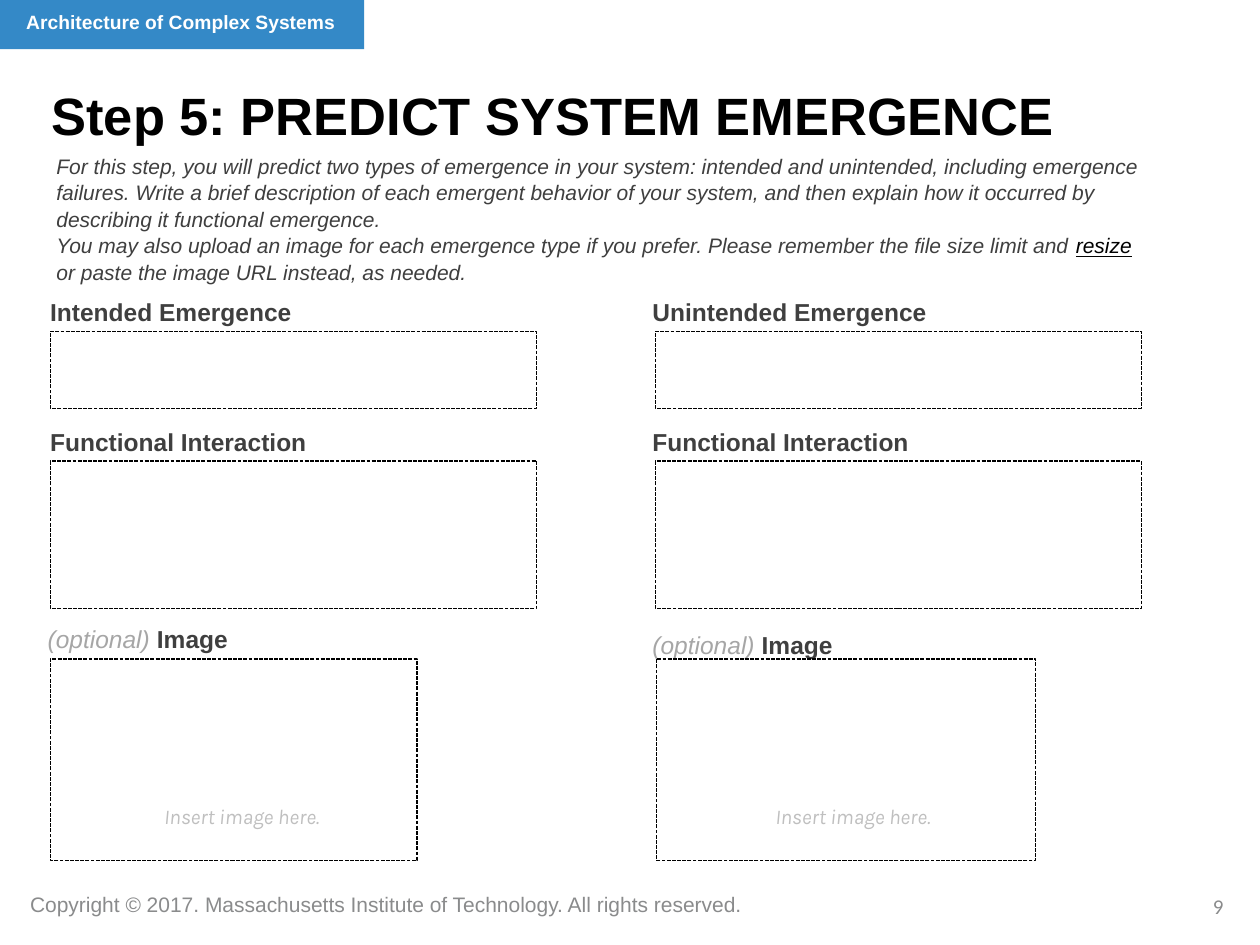
import dataclasses

import pptx
import pptx.dml.color
import pptx.enum.dml
import pptx.enum.shapes
import pptx.enum.text
import pptx.util
from pptx.util import Inches

ALIGN = pptx.enum.text.PP_ALIGN


@dataclasses.dataclass(frozen=True)
class Theme:
    """Colours, fonts and type sizes of the slide."""
    banner: str = "3489C7"
    white: str = "FFFFFF"
    black: str = "000000"
    body: str = "3F3F3F"
    optional: str = "A6A6A6"
    hint: str = "BFBFBF"
    footer: str = "8A8B8C"
    font: str = "Arial"
    hint_font: str = "Karla"
    number_font: str = "Calibri"
    title_size: float = 30
    heading_size: float = 14
    text_size: float = 12
    banner_size: float = 11
    line_width: float = 0.75


THEME = Theme()


def rgb(code):
    """Turn a hex code into a colour."""
    return pptx.dml.color.RGBColor.from_string(code)


def add_rectangle(page, left, top, width, height, fill=None, line=None):
    """Add a rectangle with an optional fill and dashed outline."""
    box = page.shapes.add_shape(
        pptx.enum.shapes.MSO_SHAPE.RECTANGLE,
        Inches(left), Inches(top), Inches(width), Inches(height))
    box.shadow.inherit = False
    if fill:
        box.fill.solid()
        box.fill.fore_color.rgb = rgb(fill)
    else:
        box.fill.background()
    if line:
        box.line.color.rgb = rgb(line)
        box.line.width = pptx.util.Pt(THEME.line_width)
        box.line.dash_style = pptx.enum.dml.MSO_LINE.SQUARE_DOT
    else:
        box.line.fill.background()
    return box


def add_box(page, left, top, width, height):
    """Add an empty text box."""
    return page.shapes.add_textbox(
        Inches(left), Inches(top), Inches(width), Inches(height))


def write(box, *paragraphs, size=THEME.text_size, font=THEME.font,
          color=THEME.body, bold=False, italic=False, align=ALIGN.LEFT,
          spacing=None, wrap=True):
    """Fill a box with paragraphs, each a list of (text, overrides) spans."""
    frame = box.text_frame
    frame.word_wrap = wrap
    frame.vertical_anchor = pptx.enum.text.MSO_ANCHOR.TOP
    for index, spans in enumerate(paragraphs):
        para = frame.add_paragraph() if index else frame.paragraphs[0]
        para.alignment = align
        para.line_spacing = spacing
        if isinstance(spans, str):
            spans = [(spans, {})]
        for text, overrides in spans:
            look = {"color": color, "bold": bold, "italic": italic,
                    "underline": None, **overrides}
            span = para.add_run()
            span.text = text
            span.font.name = font
            span.font.size = pptx.util.Pt(size)
            span.font.color.rgb = rgb(look["color"])
            span.font.bold = look["bold"]
            span.font.italic = look["italic"]
            span.font.underline = look["underline"]


def add_heading(page, left, top, text):
    """Add a bold heading above an answer box."""
    write(add_box(page, left, top, 3.76, 0.5), text,
          size=THEME.heading_size, bold=True)


def add_column(page, heading, left, box_left, image_label, image_box, hint_left):
    """Add one column of headings, answer boxes and an image area."""
    for text, top, height in ((heading, 2.31, 0.61),
                              ("Functional Interaction", 3.34, 1.17)):
        add_heading(page, left, top, text)
        add_rectangle(page, box_left, top + 0.32, 3.86, height, line=THEME.black)
    add_heading(page, *image_label, [
        ("(optional) ", {"color": THEME.optional, "bold": False, "italic": True}),
        ("Image", {})])
    image_left, image_width = image_box
    add_rectangle(page, image_left, 5.23, image_width, 1.6, line=THEME.black)
    write(add_box(page, hint_left, 6.33, 1.8, 0.36), "Insert image here.",
          font=THEME.hint_font, color=THEME.hint, italic=True,
          align=ALIGN.CENTER)


def add_frame(page):
    """Add the course banner, copyright line and page number."""
    add_rectangle(page, -0.01, 0, 2.9, 0.39, fill=THEME.banner)
    write(add_box(page, 0.11, 0.03, 2.79, 0.58),
          "Architecture of Complex Systems",
          size=THEME.banner_size, color=THEME.white, bold=True)
    write(add_box(page, 0.14, 7.03, 5.96, 0.3),
          "Copyright © 2017. Massachusetts Institute of Technology. "
          "All rights reserved.", color=THEME.footer, wrap=False)
    write(add_box(page, 7.48, 7.04, 2.33, 0.4), "9",
          font=THEME.number_font, color=THEME.footer, align=ALIGN.RIGHT)


def add_introduction(page):
    """Add the title and the instructions."""
    write(add_rectangle(page, 0.31, 0.61, 8.51, 0.78, fill=THEME.white),
          "Step 5: PREDICT SYSTEM EMERGENCE",
          size=THEME.title_size, color=THEME.black, bold=True)
    write(add_box(page, 0.35, 1.16, 8.84, 1.17),
          "For this step, you will predict two types of emergence in your "
          "system: intended and unintended, including emergence failures. "
          "Write a brief description of each emergent behavior of your system, "
          "and then explain how it occurred by describing it functional "
          "emergence.",
          [("You may also upload an image for each emergence type if you "
            "prefer. Please remember the file size limit and ", {}),
           ("resize", {"color": THEME.black, "underline": True}),
           (" or paste the image URL instead, as needed.", {})],
          italic=True, spacing=1.05)


def main():
    """Build and save the slide."""
    deck = pptx.Presentation()
    deck.slide_width, deck.slide_height = Inches(10), Inches(7.5)
    page = deck.slides.add_slide(deck.slide_layouts[6])
    add_frame(page)
    add_introduction(page)
    add_column(page, "Intended Emergence", 0.3, 0.4,
               image_label=(0.28, 4.9), image_box=(0.4, 2.91), hint_left=1.02)
    add_column(page, "Unintended Emergence", 5.08, 5.2,
               image_label=(5.08, 4.95), image_box=(5.21, 3.01), hint_left=5.87)
    deck.save("out.pptx")


if __name__ == "__main__":
    main()
